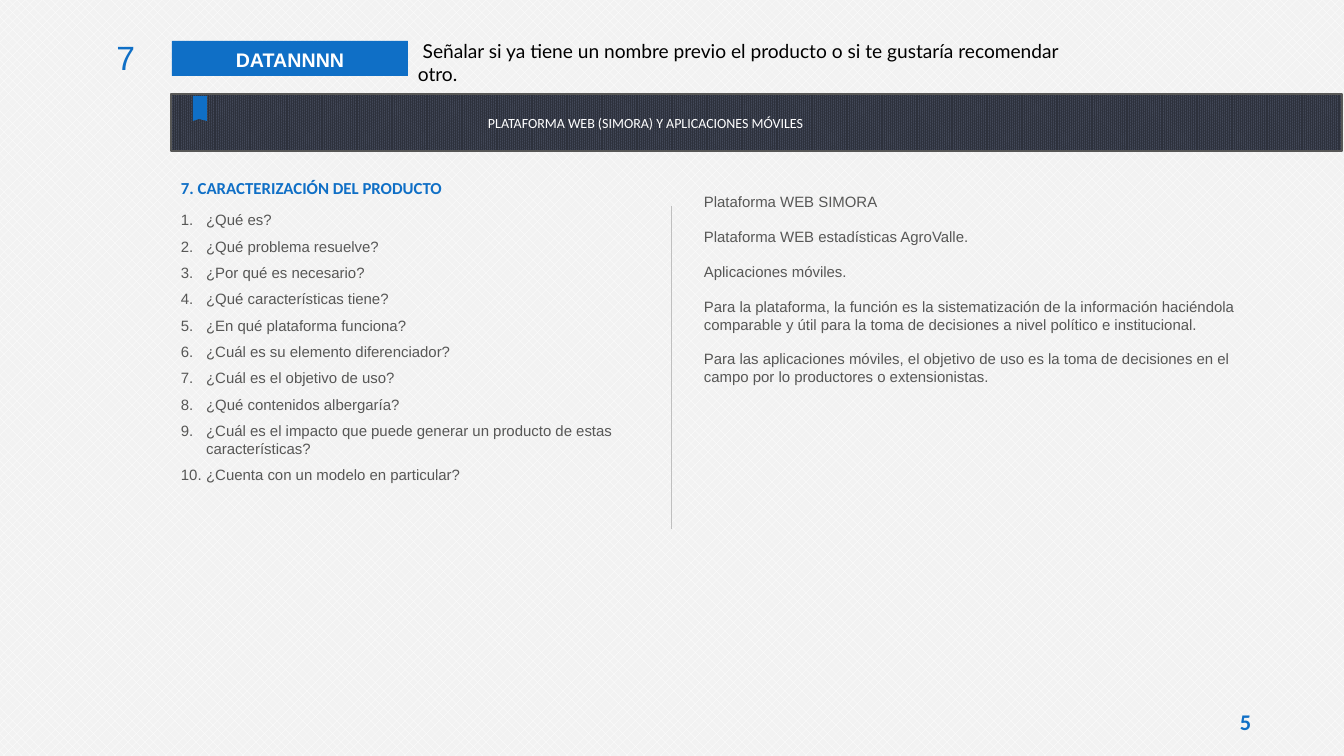
from lxml import etree
from pptx import Presentation, util as u
from pptx.dml.color import RGBColor
from pptx.enum import dml, shapes, text
from pptx.oxml.ns import qn

PX = 914400 / 100.8
BLUE = RGBColor(0x0F, 0x6F, 0xC6)
GREY = RGBColor(0x57, 0x57, 0x56)
RULE = RGBColor(0xBF, 0xBF, 0xBF)
BLACK = RGBColor(0, 0, 0)
WHITE = RGBColor(0xFF, 0xFF, 0xFF)
PAPER = RGBColor(0xF2, 0xF2, 0xF2)
SLATE = RGBColor(0x2D, 0x31, 0x3C)
SLATE_LIGHT = RGBColor(0x44, 0x4A, 0x5A)
LEFT, CENTER, RIGHT = text.PP_ALIGN.LEFT, text.PP_ALIGN.CENTER, text.PP_ALIGN.RIGHT


def px(*lengths):
    return [u.Emu(round(length * PX)) for length in lengths]


def write(box, lines, font, size, color, bold=False, align=LEFT):
    frame = box.text_frame
    frame.word_wrap = True
    frame.vertical_anchor = text.MSO_ANCHOR.TOP
    frame.text = "\n".join(lines)
    for para in frame.paragraphs:
        para.alignment = align
        for span in para.runs:
            span.font.name = font
            span.font.size = u.Pt(size)
            span.font.bold = bold
            span.font.color.rgb = color
    return frame


deck = Presentation()
deck.slide_width, deck.slide_height = px(1344, 756)
page = deck.slides.add_slide(deck.slide_layouts[6])
parts = page.shapes

# Patterned background
paper = page.background.fill
paper.patterned()
paper.pattern = dml.MSO_PATTERN.from_xml("pct40")
paper.fore_color.rgb = WHITE
paper.back_color.rgb = PAPER

# Page number
number = write(parts.add_textbox(*px(1215, 706, 61, 33)), ["5"], "Calibri", 16, BLUE, True, CENTER)
number.margin_left = number.margin_right = px(5)[0]
number.margin_top = number.margin_bottom = px(2)[0]

# Heading row: step number, label and instruction
write(parts.add_textbox(*px(79, 32, 66, 50)), ["7"], "Arial", 24, BLUE, align=RIGHT)

label = parts.add_shape(shapes.MSO_SHAPE.RECTANGLE, *px(172, 41, 236, 35))
label.shadow.inherit = False
label.fill.solid()
label.fill.fore_color.rgb = BLUE
label.line.fill.background()
write(label, ["DATANNNN"], "Arial", 14, WHITE, True, CENTER).paragraphs[0].line_spacing = 1.1

instruction = write(
    parts.add_textbox(*px(408, 34, 686, 56)),
    [" Señalar si ya tiene un nombre previo el producto o si te gustaría recomendar otro."],
    "Lato", 13.7, BLACK)
instruction.vertical_anchor = text.MSO_ANCHOR.MIDDLE

# Dark band with its bookmark and title
band = parts.add_shape(shapes.MSO_SHAPE.RECTANGLE, *px(171, 94, 1171, 57))
band.shadow.inherit = False
band.fill.patterned()
band.fill.pattern = dml.MSO_PATTERN.from_xml("pct90")
band.fill.fore_color.rgb = SLATE
band.fill.back_color.rgb = SLATE_LIGHT
band.line.color.rgb = GREY
band.line.width = u.Pt(2)

outline = parts.build_freeform(207, 96, scale=PX)
outline.add_line_segments([(207, 121), (199, 119), (193, 121), (193, 96)], close=True)
bookmark = outline.convert_to_shape()
bookmark.shadow.inherit = False
bookmark.fill.solid()
bookmark.fill.fore_color.rgb = BLUE
bookmark.line.fill.background()

title = write(parts.add_textbox(*px(227, 106, 837, 44)),
              ["PLATAFORMA WEB (SIMORA) Y APLICACIONES MÓVILES"],
              "Calibri", 10, WHITE, align=CENTER)
title.paragraphs[0].line_spacing = 1.2

# Divider between the columns
divider = parts.add_connector(shapes.MSO_CONNECTOR.STRAIGHT, *px(672, 206, 672, 529))
divider.line.color.rgb = RULE
divider.line.width = u.Pt(0.75)
etree.SubElement(divider._element.spPr, qn("a:effectLst"))

# Left column: numbered questions
write(parts.add_textbox(*px(171, 173, 478, 30)),
      ["7. CARACTERIZACIÓN DEL PRODUCTO"], "Calibri", 12, BLUE, True)
questions = write(parts.add_textbox(*px(171, 206, 485, 285)), [
    "¿Qué es?",
    "¿Qué problema resuelve?",
    "¿Por qué es necesario?",
    "¿Qué características tiene?",
    "¿En qué plataforma funciona?",
    "¿Cuál es su elemento diferenciador?",
    "¿Cuál es el objetivo de uso?",
    "¿Qué contenidos albergaría?",
    "¿Cuál es el impacto que puede generar un producto de estas características?",
    "¿Cuenta con un modelo en particular?",
], "Arial", 10.7, GREY)
indent = u.Inches(0.25)
for para in questions.paragraphs:
    props = para._p.get_or_add_pPr()
    props.set("marL", str(indent))
    props.set("indent", str(-indent))
    etree.SubElement(props, qn("a:buAutoNum"), type="arabicPeriod")
    para.space_after = u.Pt(6)

# Right column: answers
answers = write(parts.add_textbox(*px(694, 188, 562, 205)), [
    "Plataforma WEB SIMORA",
    "Plataforma WEB estadísticas AgroValle.",
    "Aplicaciones móviles.",
    "Para la plataforma, la función es la sistematización de la información haciéndola "
    "comparable y útil para la toma de decisiones a nivel político e institucional.",
    "Para las aplicaciones móviles, el objetivo de uso es la toma de decisiones en el "
    "campo por lo productores o extensionistas.",
], "Arial", 10.7, GREY)
for index, para in enumerate(answers.paragraphs):
    para.space_before = u.Pt(6 if index else 0)
    para.space_after = u.Pt(6)

deck.save("out.pptx")
